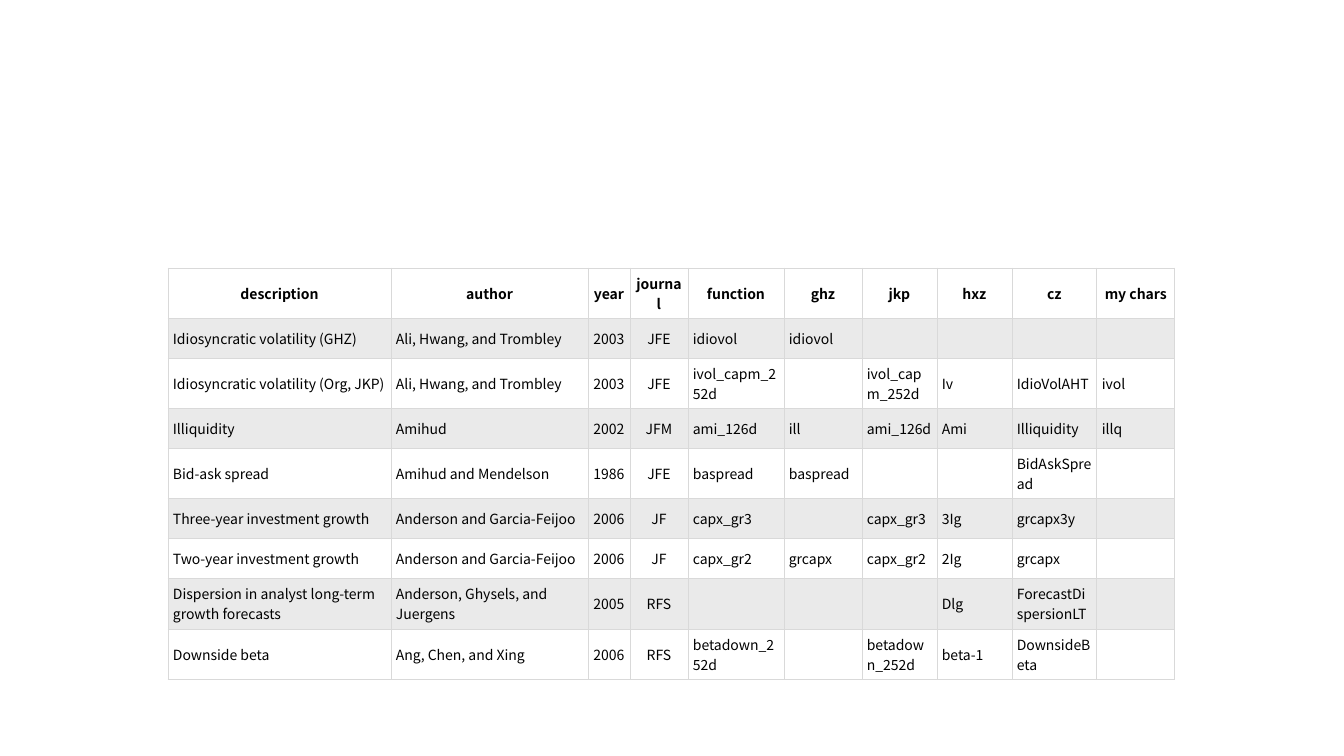
"""Build a slide with a striped table of stock characteristics and their sources."""
from dataclasses import dataclass

import lxml.etree
import pptx
import pptx.dml.color
import pptx.enum.text
import pptx.oxml.ns
import pptx.table
import pptx.util

EMU_PER_PX = 914400 / 100.8


@dataclass(frozen=True)
class Theme:
    font: str = "Noto Sans CJK KR"
    text_size: int = 10
    border_width: float = 0.5
    text: str = "000000"
    border: str = "D9D9D9"
    plain: str = "FFFFFF"
    stripe: str = "EAEAEA"


@dataclass(frozen=True)
class Column:
    title: str
    width: int
    centred: bool = False


THEME = Theme()
SLIDE_SIZE = (1344, 756)
TABLE_LEFT, TABLE_TOP = 168, 268
HEADER_HEIGHT, ROW_HEIGHT = 26, 40
CELL_MARGIN = 5

COLUMNS = (
    Column("description", 223),
    Column("author", 197),
    Column("year", 42, centred=True),
    Column("journal", 58, centred=True),
    Column("function", 96),
    Column("ghz", 78),
    Column("jkp", 75),
    Column("hxz", 75),
    Column("cz", 85),
    Column("my chars", 78),
)

RECORDS = (
    ("Idiosyncratic volatility (GHZ)", "Ali, Hwang, and Trombley", "2003", "JFE",
     "idiovol", "idiovol", "", "", "", ""),
    ("Idiosyncratic volatility (Org, JKP)", "Ali, Hwang, and Trombley", "2003", "JFE",
     "ivol_capm_252d", "", "ivol_capm_252d", "Iv", "IdioVolAHT", "ivol"),
    ("Illiquidity", "Amihud", "2002", "JFM",
     "ami_126d", "ill", "ami_126d", "Ami", "Illiquidity", "illq"),
    ("Bid-ask spread", "Amihud and Mendelson", "1986", "JFE",
     "baspread", "baspread", "", "", "BidAskSpread", ""),
    ("Three-year investment growth", "Anderson and Garcia-Feijoo", "2006", "JF",
     "capx_gr3", "", "capx_gr3", "3Ig", "grcapx3y", ""),
    ("Two-year investment growth", "Anderson and Garcia-Feijoo", "2006", "JF",
     "capx_gr2", "grcapx", "capx_gr2", "2Ig", "grcapx", ""),
    ("Dispersion in analyst long-term growth forecasts", "Anderson, Ghysels, and Juergens",
     "2005", "RFS", "", "", "", "Dlg", "ForecastDispersionLT", ""),
    ("Downside beta", "Ang, Chen, and Xing", "2006", "RFS",
     "betadown_252d", "", "betadown_252d", "beta-1", "DownsideBeta", ""),
)


def px(length: int) -> pptx.util.Emu:
    """Turn pixels into EMU."""
    return pptx.util.Emu(round(length * EMU_PER_PX))


def rgb(colour: str) -> pptx.dml.color.RGBColor:
    """Turn a hex string into a colour."""
    return pptx.dml.color.RGBColor.from_string(colour)


def draw_borders(cell: pptx.table._Cell) -> None:
    """Outline a cell on all four sides, ahead of its fill."""
    qn = pptx.oxml.ns.qn
    properties = cell._tc.get_or_add_tcPr()
    width = str(pptx.util.Pt(THEME.border_width))
    for position, side in enumerate(("a:lnL", "a:lnR", "a:lnT", "a:lnB")):
        line = lxml.etree.Element(qn(side), w=width)
        fill = lxml.etree.SubElement(line, qn("a:solidFill"))
        lxml.etree.SubElement(fill, qn("a:srgbClr"), val=THEME.border)
        properties.insert(position, line)


def fill_cell(cell: pptx.table._Cell, text: str, centred: bool, bold: bool, colour: str) -> None:
    """Write and style one cell."""
    cell.margin_left = cell.margin_right = px(CELL_MARGIN)
    cell.margin_top = cell.margin_bottom = px(CELL_MARGIN)
    cell.vertical_anchor = pptx.enum.text.MSO_ANCHOR.MIDDLE
    cell.fill.solid()
    cell.fill.fore_color.rgb = rgb(colour)
    draw_borders(cell)
    paragraph = cell.text_frame.paragraphs[0]
    alignment = pptx.enum.text.PP_ALIGN
    paragraph.alignment = alignment.CENTER if centred else alignment.LEFT
    font = paragraph.font
    font.name, font.size, font.bold = THEME.font, pptx.util.Pt(THEME.text_size), bold
    font.color.rgb = rgb(THEME.text)
    if text:
        paragraph.add_run().text = text
    else:
        end = lxml.etree.SubElement(paragraph._p, pptx.oxml.ns.qn("a:endParaRPr"))
        end.set("sz", str(THEME.text_size * 100))


def build_table(slide: pptx.slide.Slide) -> None:
    """Add the table with its header and striped records."""
    width = sum(column.width for column in COLUMNS)
    height = HEADER_HEIGHT + ROW_HEIGHT * len(RECORDS)
    table = slide.shapes.add_table(
        len(RECORDS) + 1, len(COLUMNS), px(TABLE_LEFT), px(TABLE_TOP), px(width), px(height)
    ).table
    table.first_row = table.horz_banding = False
    titles = tuple(column.title for column in COLUMNS)
    for row_index, record in enumerate((titles, *RECORDS)):
        header = row_index == 0
        table.rows[row_index].height = px(HEADER_HEIGHT if header else ROW_HEIGHT)
        colour = THEME.stripe if row_index % 2 else THEME.plain
        for column_index, (column, text) in enumerate(zip(COLUMNS, record)):
            cell = table.cell(row_index, column_index)
            fill_cell(cell, text, header or column.centred, header, colour)
    for table_column, column in zip(table.columns, COLUMNS):
        table_column.width = px(column.width)


def main() -> None:
    """Create and save the presentation."""
    presentation = pptx.Presentation()
    presentation.slide_width, presentation.slide_height = map(px, SLIDE_SIZE)
    slide = presentation.slides.add_slide(presentation.slide_layouts[6])
    build_table(slide)
    presentation.save("out.pptx")


if __name__ == "__main__":
    main()
